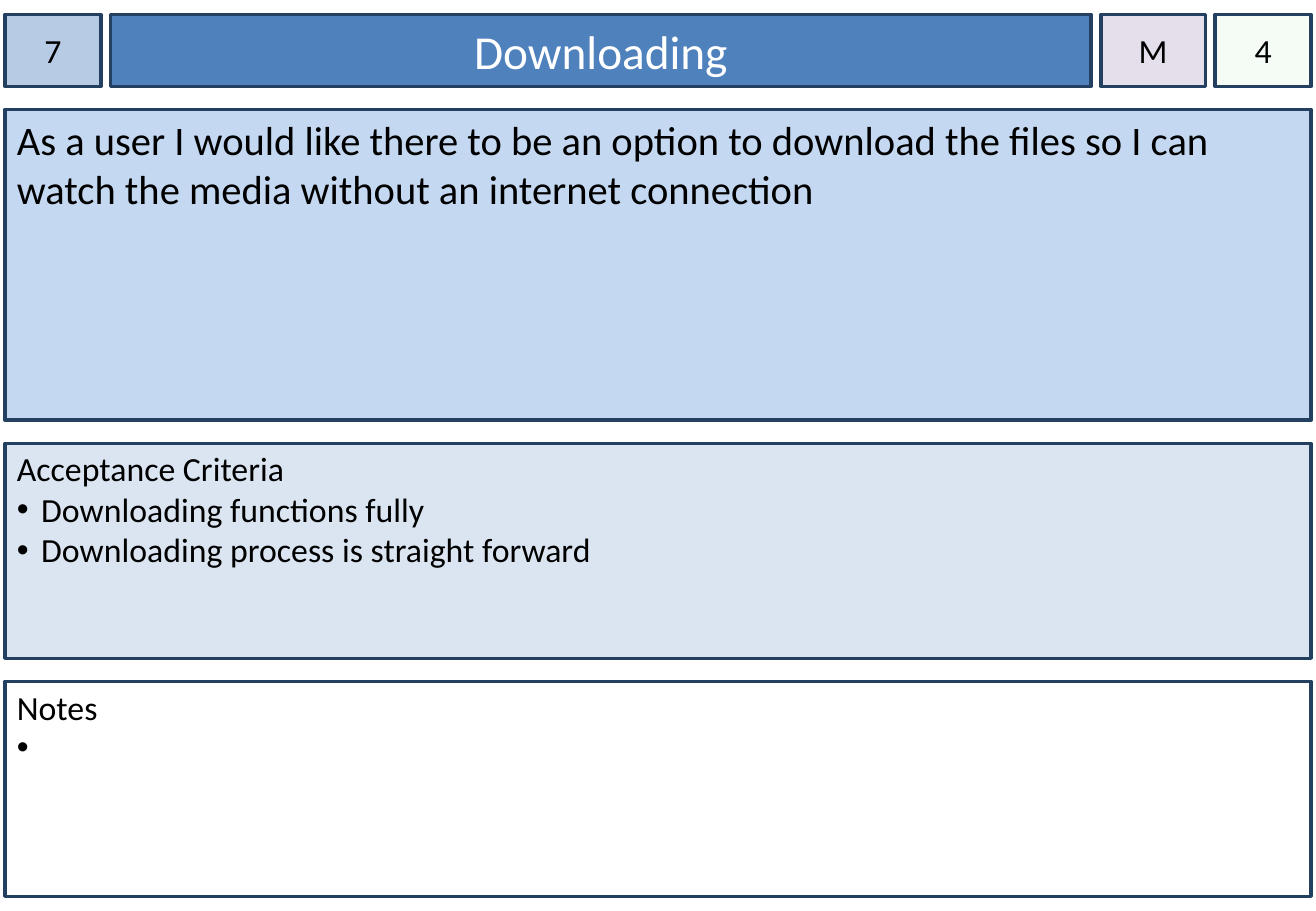
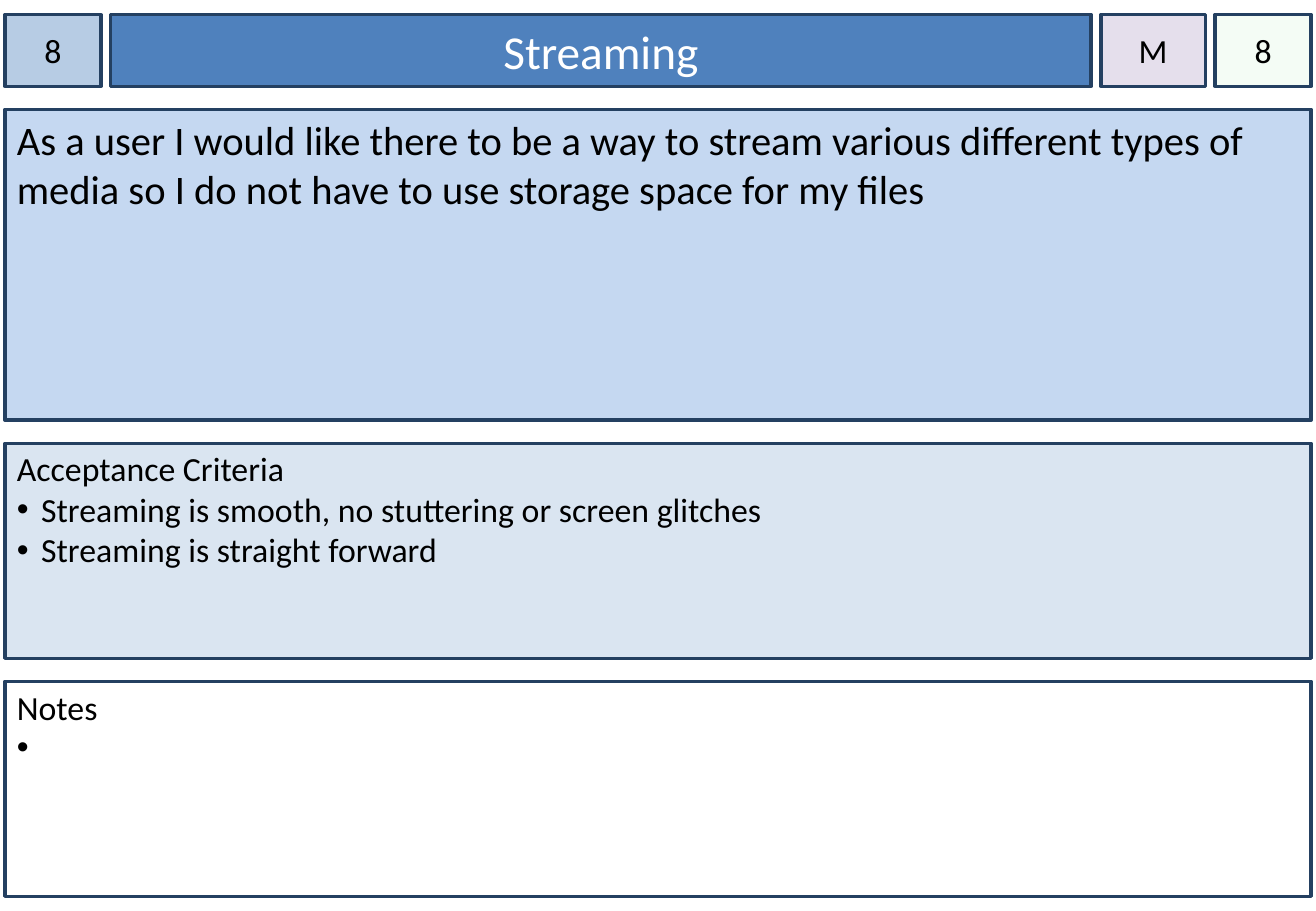
from lxml import etree
from pptx import Presentation
from pptx.dml.color import RGBColor
from pptx.enum.shapes import MSO_SHAPE
from pptx.enum.text import MSO_ANCHOR, PP_ALIGN
from pptx.oxml.ns import qn
from pptx.util import Emu, Pt

RECTANGLE = MSO_SHAPE.RECTANGLE
TOP, MIDDLE = MSO_ANCHOR.TOP, MSO_ANCHOR.MIDDLE
LEFT, CENTER = PP_ALIGN.LEFT, PP_ALIGN.CENTER

EMU_PER_PX = 9144
SLIDE_SIZE = (1083, 750)
CARD_BOX = (4, 12, 1075, 726)
ROW_HEIGHTS = (59, 256, 177, 177)
ROW_GAP = 19
HEADER_WIDTHS = (79, 807, 86, 79)
HEADER_GAP = 8
BULLET_INDENT = 20

FONT = "Calibri"
BORDER = "244061"
BLACK, WHITE = "000000", "FFFFFF"
NUMBER_FILL, TITLE_FILL = "B7CCE4", "4F81BD"
PRIORITY_FILL, ESTIMATE_FILL = "E5DFEC", "CCF0CD"
STORY_FILL, CRITERIA_FILL = "C5D8F1", "DAE5F1"

STORIES = [
    {
        "number": "7", "title": "Downloading", "priority": "M", "estimate": "4",
        "story": "As a user I would like there to be an option to download the "
                 "files so I can watch the media without an internet connection",
        "criteria": ["Downloading functions fully",
                     "Downloading process is straight forward"],
    },
    {
        "number": "8", "title": "Streaming", "priority": "M", "estimate": "8",
        "story": "As a user I would like there to be a way to stream various "
                 "different types of media so I do not have to use storage space for my files",
        "criteria": ["Streaming is smooth, no stuttering or screen glitches",
                     "Streaming is straight forward"],
    },
]


def px(length):
    return Emu(length * EMU_PER_PX)


def color(value):
    return RGBColor.from_string(value)


def offsets(start, sizes, gap):
    return [start + sum(sizes[:i]) + gap * i for i in range(len(sizes))]


def add_panel(slide, box, fill, anchor=TOP, side_inset=10, top_inset=5):
    panel = slide.shapes.add_shape(RECTANGLE, *map(px, box))
    panel.shadow.inherit = False
    panel.fill.solid()
    panel.fill.fore_color.rgb = color(fill)
    panel.line.color.rgb = color(BORDER)
    panel.line.width = Pt(2)
    frame = panel.text_frame
    frame.word_wrap = True
    frame.vertical_anchor = anchor
    frame.margin_left = frame.margin_right = px(side_inset)
    frame.margin_top, frame.margin_bottom = px(top_inset), px(5)
    return panel


def write(paragraph, text, size=20, ink=BLACK, align=LEFT):
    paragraph.alignment = align
    run = paragraph.add_run()
    run.text = text
    run.font.name = FONT
    run.font.size = Pt(size)
    run.font.color.rgb = color(ink)


def add_bullet(paragraph):
    properties = paragraph._p.get_or_add_pPr()
    properties.set("marL", str(px(BULLET_INDENT)))
    properties.set("indent", str(px(-BULLET_INDENT)))
    bullet_color = etree.SubElement(properties, qn("a:buClr"))
    etree.SubElement(bullet_color, qn("a:srgbClr"), val=BLACK)
    etree.SubElement(properties, qn("a:buFont"), typeface="Arial")
    etree.SubElement(properties, qn("a:buChar"), char="•")


def set_opacity(panel, percent):
    fill_color = panel._element.spPr.find(qn("a:solidFill"))[0]
    etree.SubElement(fill_color, qn("a:alpha"), val=str(percent * 1000))


def add_header(slide, box, story):
    left, top, _, height = box
    cells = [
        (story["number"], NUMBER_FILL, 20, BLACK, 0),
        (story["title"], TITLE_FILL, 28, WHITE, 10),
        (story["priority"], PRIORITY_FILL, 20, BLACK, 0),
        (story["estimate"], ESTIMATE_FILL, 20, BLACK, 0),
    ]
    lefts = offsets(left, HEADER_WIDTHS, HEADER_GAP)
    for x, width, (text, fill, size, ink, inset) in zip(lefts, HEADER_WIDTHS, cells):
        panel = add_panel(slide, (x, top, width, height), fill, MIDDLE, inset)
        write(panel.text_frame.paragraphs[0], text, size, ink, CENTER)
        if fill == ESTIMATE_FILL:
            set_opacity(panel, 20)


def add_story(slide, box, text):
    panel = add_panel(slide, box, STORY_FILL)
    write(panel.text_frame.paragraphs[0], text, 24)


def add_list(slide, box, fill, heading, items):
    frame = add_panel(slide, box, fill, top_inset=4).text_frame
    write(frame.paragraphs[0], heading)
    for item in items:
        paragraph = frame.add_paragraph()
        write(paragraph, item)
        add_bullet(paragraph)


def add_story_card(slide, box, story):
    left, top, width, _ = box
    tops = offsets(top, ROW_HEIGHTS, ROW_GAP)
    header, body, criteria, notes = [
        (left, y, width, height) for y, height in zip(tops, ROW_HEIGHTS)
    ]
    add_header(slide, header, story)
    add_story(slide, body, story["story"])
    add_list(slide, criteria, CRITERIA_FILL, "Acceptance Criteria", story["criteria"])
    add_list(slide, notes, WHITE, "Notes", [" "])


def main():
    deck = Presentation()
    deck.slide_width, deck.slide_height = map(px, SLIDE_SIZE)
    blank = deck.slide_layouts[6]
    for story in STORIES:
        add_story_card(deck.slides.add_slide(blank), CARD_BOX, story)
    deck.save("out.pptx")


if __name__ == "__main__":
    main()
